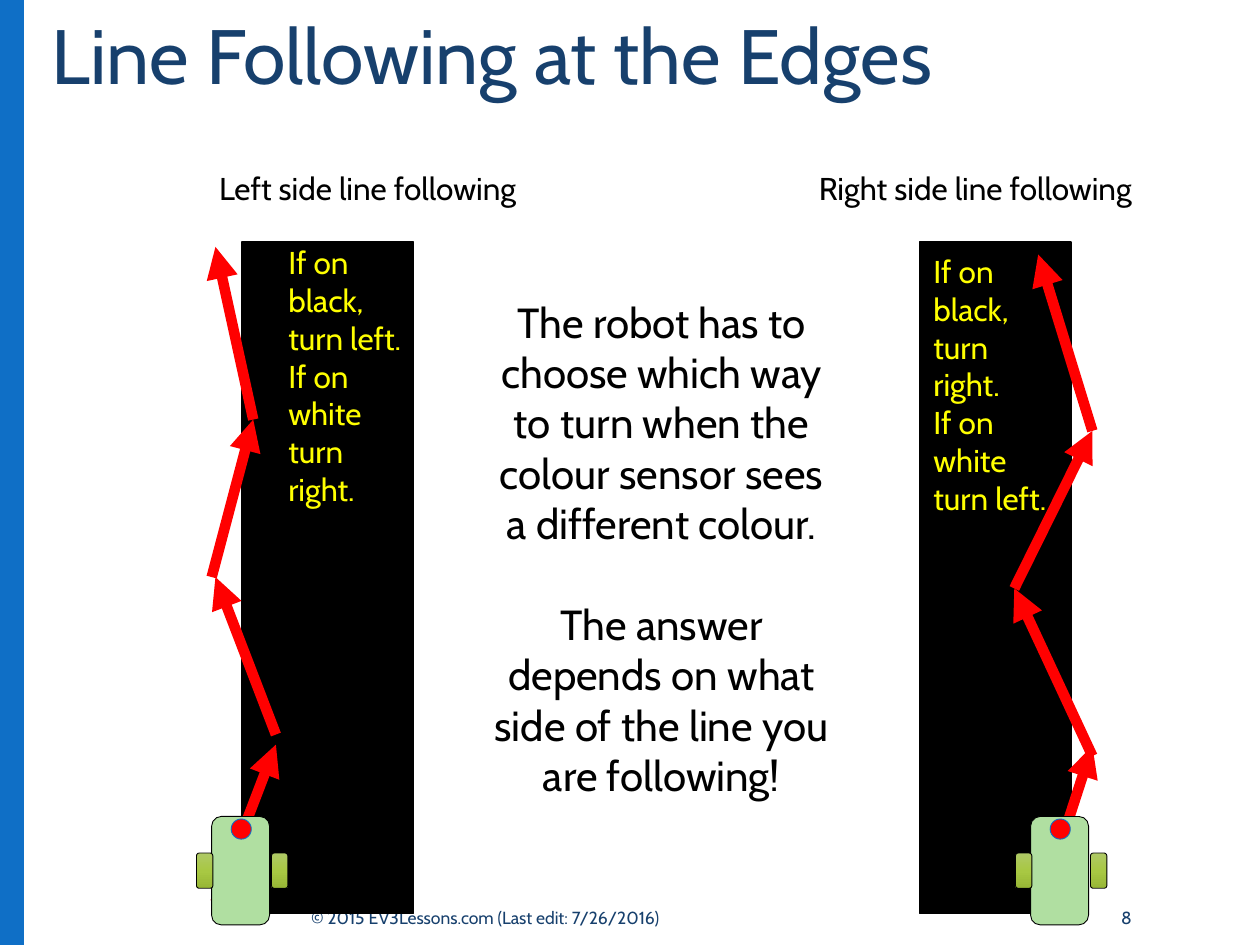
import copy

import pptx
import pptx.util
from pptx.dml.color import RGBColor
from pptx.enum.shapes import MSO_CONNECTOR, MSO_SHAPE
from pptx.enum.text import MSO_ANCHOR, MSO_AUTO_SIZE, PP_ALIGN
from pptx.oxml.ns import qn
from pptx.oxml.xmlchemy import OxmlElement

FONT = "Cabin"
NAVY, BLUE, BLACK, RED, YELLOW = "17406D", "0F6FC6", "000000", "FF0000", "FFFF00"
BODY_GREEN = "B0DFA1"
WHEEL_GREENS = [(0, "AFC966"), (0.5, "A8C843"), (1, "98B736")]

TITLE = "Line Following at the Edges"
TITLE_BOX = (3.1, 1.33, 92.3, 21.6)
SIDEBAR = (0, 0, 1.9, 100)
FOOTERS = [
    ("© 2015 EV3Lessons.com (Last edit: 7/26/2016)", (23.7, 94.13, 51.5, 5.87), PP_ALIGN.LEFT),
    ("8", (77.7, 94.13, 13.1, 5.87), PP_ALIGN.RIGHT),
]
TRACKS = [
    {
        "line": (19.2, 25.6, 13.6, 71.07),
        "arrows": [
            ((17.1, 95.47), (21.9, 78.8)),
            ((21.9, 77.73), (17.1, 61.07)),
            ((16.8, 61.07), (20.1, 44.4)),
            ((20.1, 44.4), (17.1, 26.13)),
        ],
        "label": ("Left side line following", (16.4, 17.2, 26.7, 5.33)),
        "rules": ["If on black, turn left.", "If on white turn right."],
        "rules_box": (21.9, 25.07, 11.5, 29.6),
        "robot_x": 16.8,
    },
    {
        "line": (73, 25.6, 12, 71.07),
        "arrows": [
            ((82.4, 96.67), (86.7, 78.93)),
            ((86.7, 80), (80.5, 62.27)),
            ((80.5, 62.27), (86.7, 45.6)),
            ((86.7, 45.6), (82.4, 26.93)),
        ],
        "label": ("Right side line following", (64, 17.2, 28.4, 5.33)),
        "rules": ["If on black, turn right.", "If on white turn left."],
        "rules_box": (73.1, 26, 11.5, 29.6),
        "robot_x": 81.8,
    },
]
MESSAGE = [
    "The robot has to choose which way to turn when the colour sensor sees a different colour.",
    "The answer depends on what side of the line you are following!",
]
MESSAGE_BOX = (38.1, 30.67, 28.8, 60.53)

prs = pptx.Presentation()
prs.slide_width = pptx.util.Inches(10)
prs.slide_height = pptx.util.Inches(7.5)
s = prs.slides.add_slide(prs.slide_layouts[5])


def rgb(color):
    return RGBColor.from_string(color)


def point(x, y):
    return int(prs.slide_width * x / 100), int(prs.slide_height * y / 100)


def place(box):
    return point(*box[:2]) + point(*box[2:])


def write(tf, lines, size, color, align=PP_ALIGN.LEFT, gap=0):
    tf.text = "\n".join(lines)
    for i, p in enumerate(tf.paragraphs):
        p.alignment = align
        if i and gap:
            p.space_before = pptx.util.Pt(gap)
        for r in p.runs:
            r.font.name = FONT
            r.font.size = pptx.util.Pt(size)
            r.font.color.rgb = rgb(color)


def add_text(lines, box, size, color, align=PP_ALIGN.LEFT, gap=0, wrap=True):
    tf = s.shapes.add_textbox(*place(box)).text_frame
    tf.word_wrap = wrap
    tf.auto_size = MSO_AUTO_SIZE.NONE
    write(tf, lines, size, color, align, gap)
    return tf


def add_shape(kind, box, fill=None, line=None, width=0.5):
    sp = s.shapes.add_shape(kind, *place(box))
    sp.shadow.inherit = False
    if fill:
        sp.fill.solid()
        sp.fill.fore_color.rgb = rgb(fill)
    if line:
        sp.line.color.rgb = rgb(line)
        sp.line.width = pptx.util.Pt(width)
    else:
        sp.line.fill.background()
    return sp


def add_arrow(start, end):
    c = s.shapes.add_connector(MSO_CONNECTOR.STRAIGHT, *point(*start), *point(*end))
    c.line.color.rgb = rgb(RED)
    c.line.width = pptx.util.Pt(6)
    c.line._get_or_add_ln().append(OxmlElement("a:tailEnd"))
    c.line._get_or_add_ln()[-1].set("type", "triangle")
    c._element.spPr.append(OxmlElement("a:effectLst"))


def add_wheel(x):
    sp = add_shape(MSO_SHAPE.ROUNDED_RECTANGLE, (x, 90.27, 1.3, 3.73), line=BLACK)
    sp.fill.gradient()
    sp.fill.gradient_angle = 270
    stops = sp._element.spPr.find(".//" + qn("a:gsLst"))
    stops.insert(1, copy.deepcopy(stops[0]))
    for stop, (position, color) in zip(sp.fill.gradient_stops, WHEEL_GREENS):
        stop.position = position
        stop.color.rgb = rgb(color)


def add_robot(x):
    add_shape(MSO_SHAPE.ROUNDED_RECTANGLE, (x, 86.4, 4.6, 11.47), BODY_GREEN, BLACK)
    for offset in (4.75, -1.2):
        add_wheel(x + offset)
    add_shape(MSO_SHAPE.OVAL, (x + 1.55, 86.67, 1.6, 2.13), RED, BLUE)


title = s.shapes.title
title.left, title.top, title.width, title.height = place(TITLE_BOX)
title.text_frame.vertical_anchor = MSO_ANCHOR.TOP
title.text_frame.auto_size = MSO_AUTO_SIZE.NONE
write(title.text_frame, [TITLE], 44, NAVY)
title.text_frame.paragraphs[0].line_spacing = 0.89

add_shape(MSO_SHAPE.RECTANGLE, SIDEBAR, BLUE)
for text, box, align in FOOTERS:
    add_text([text], box, 10, NAVY, align).vertical_anchor = MSO_ANCHOR.MIDDLE

for track in TRACKS:
    add_shape(MSO_SHAPE.RECTANGLE, track["line"], BLACK, BLACK, 0.75)
    for start, end in track["arrows"]:
        add_arrow(start, end)
    label, box = track["label"]
    add_text([label], box, 18, BLACK, wrap=False)
    add_text(track["rules"], track["rules_box"], 18, YELLOW)
    add_robot(track["robot_x"])

add_text(MESSAGE, MESSAGE_BOX, 24, BLACK, PP_ALIGN.CENTER, gap=28.8)

prs.save("out.pptx")
